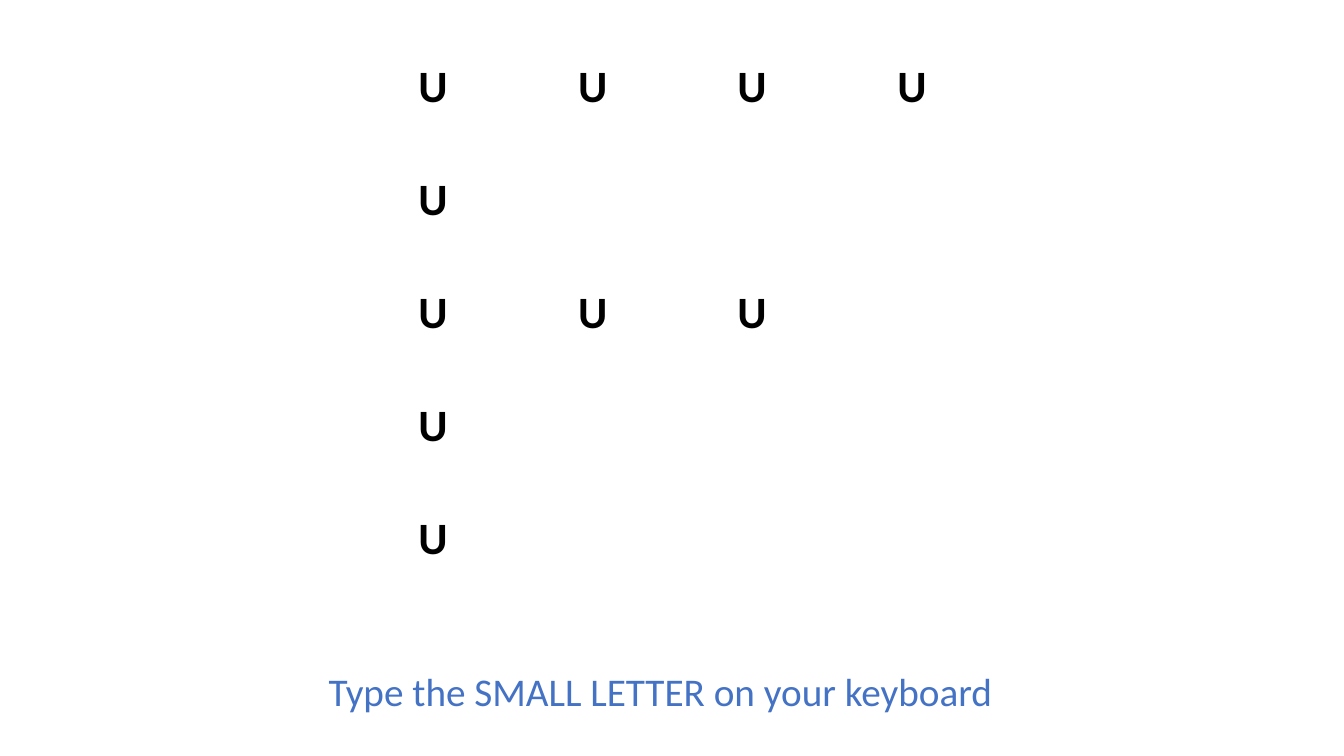
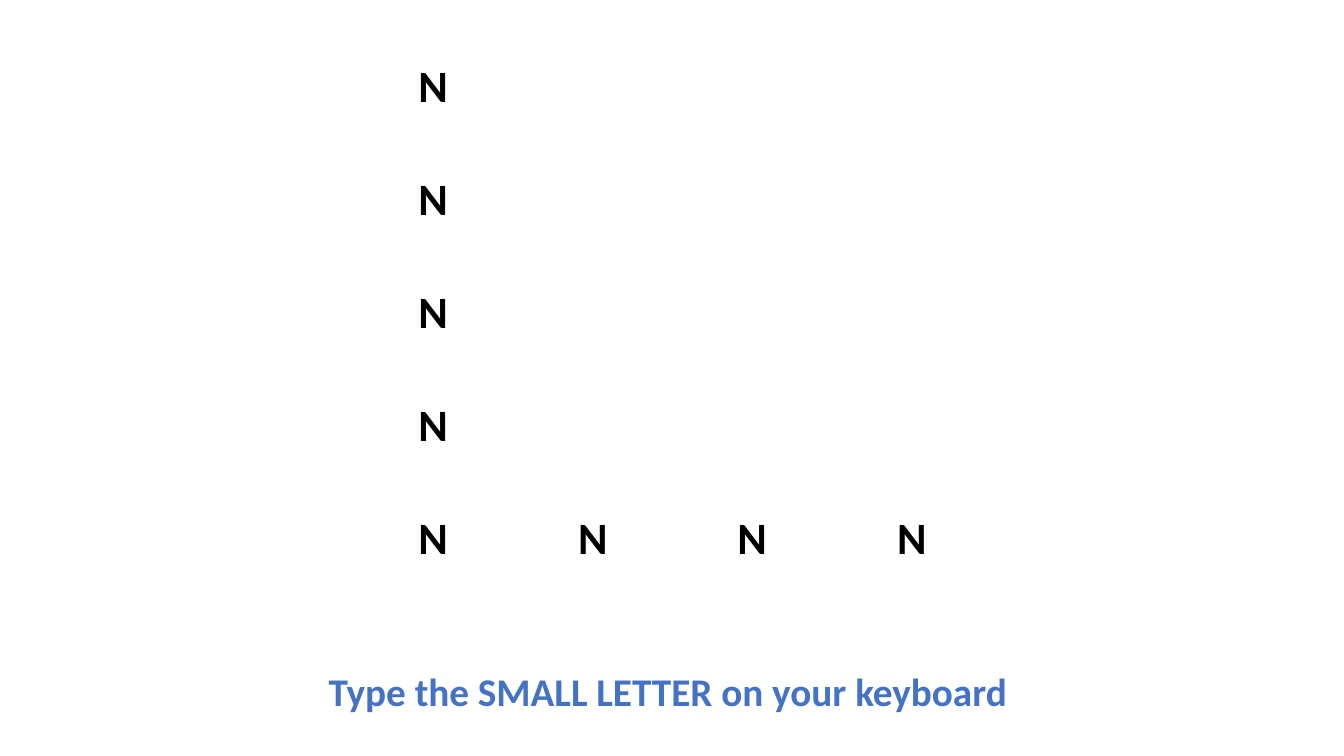
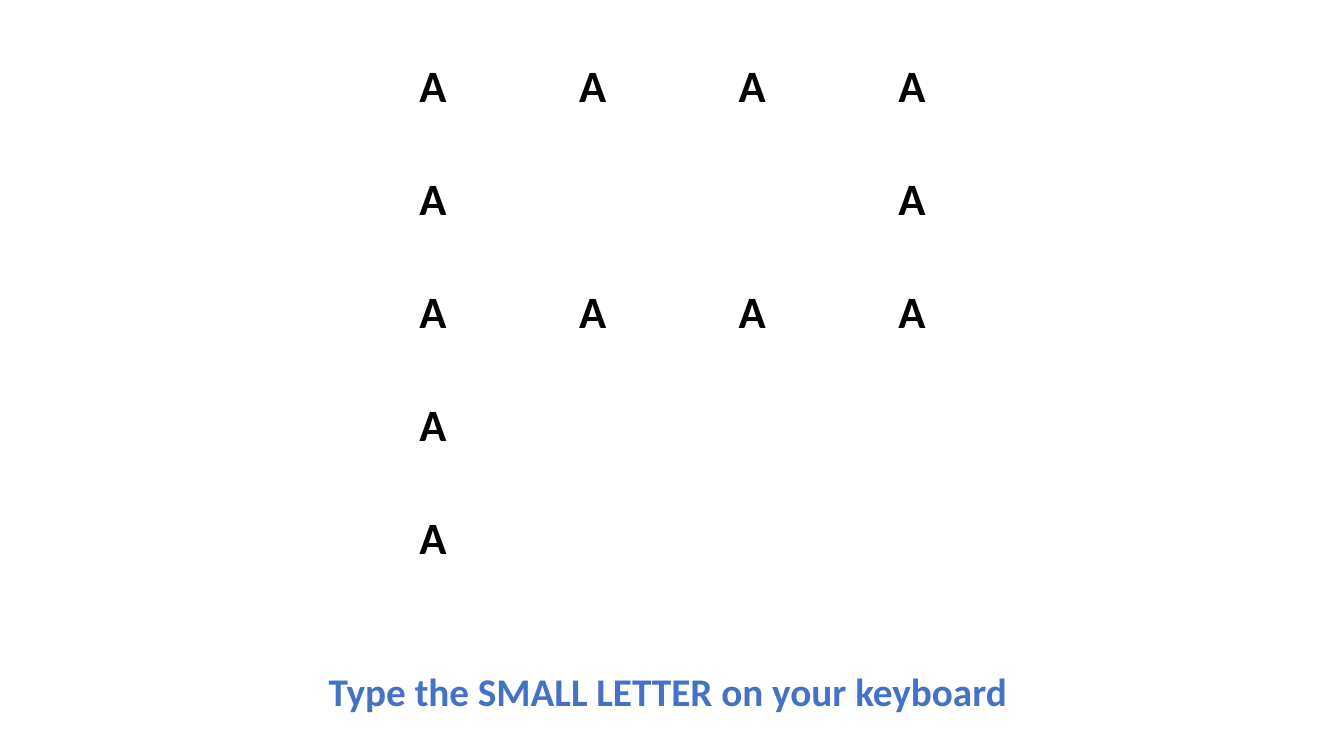
import pptx
import pptx.dml.color
import pptx.enum.text
import pptx.util

Inches = pptx.util.Inches
COLORS = {"letter": "000000", "prompt": "4472C4", "background": "FFFFFF"}
FONT = "Calibri"
PROMPT = "Type the SMALL LETTER on your keyboard"
COLUMN_WIDTHS = (1.59, 1.58, 1.58, 1.59)
ROW_HEIGHT = 1.12


def write_text(text_frame, text, size, color, bold=False, align=None, line_spacing=None):
    paragraph = text_frame.paragraphs[0]
    paragraph.alignment = align
    paragraph.line_spacing = line_spacing
    run = paragraph.add_run()
    run.text = text
    run.font.name = FONT
    run.font.size = pptx.util.Pt(size)
    run.font.bold = bold
    run.font.color.rgb = pptx.dml.color.RGBColor.from_string(COLORS[color])


class LetterDeck:
    def __init__(self):
        self.presentation = pptx.Presentation()
        self.presentation.slide_width = Inches(13.33)
        self.presentation.slide_height = Inches(7.5)
        self.slide = None

    def add_slide(self):
        self.slide = self.presentation.slides.add_slide(self.presentation.slide_layouts[6])
        fill = self.slide.background.fill
        fill.solid()
        fill.fore_color.rgb = pptx.dml.color.RGBColor.from_string(COLORS["background"])

    def add_letter_grid(self, letter, pattern):
        """Put the letter in every cell marked # in the pattern."""
        table = self.slide.shapes.add_table(
            len(pattern), len(COLUMN_WIDTHS), Inches(3.5), Inches(0.56),
            Inches(sum(COLUMN_WIDTHS)), Inches(ROW_HEIGHT * len(pattern))).table
        table.first_row = False
        table.horz_banding = False
        for column, width in zip(table.columns, COLUMN_WIDTHS):
            column.width = Inches(width)
        for row_index, marks in enumerate(pattern):
            table.rows[row_index].height = Inches(ROW_HEIGHT)
            for column_index, mark in enumerate(marks):
                cell = table.cell(row_index, column_index)
                cell.fill.background()
                cell.margin_left = cell.margin_right = Inches(0.07)
                cell.margin_top = cell.margin_bottom = 0
                if mark == "#":
                    write_text(cell.text_frame, letter, size=32, color="letter", bold=True,
                               align=pptx.enum.text.PP_ALIGN.CENTER, line_spacing=1.07)

    def add_prompt(self, bold):
        box = self.slide.shapes.add_textbox(
            Inches(3.16), Inches(6.57), Inches(7.01), Inches(0.57))
        box.text_frame.word_wrap = False
        box.text_frame.auto_size = pptx.enum.text.MSO_AUTO_SIZE.SHAPE_TO_FIT_TEXT
        write_text(box.text_frame, PROMPT, size=28, color="prompt", bold=bold)


# Each slide: repeated letter, the larger letter it forms, bold prompt
SLIDES = [
    ("U", ["####", "#...", "###.", "#...", "#..."], False),
    ("N", ["#...", "#...", "#...", "#...", "####"], True),
    ("A", ["####", "#..#", "####", "#...", "#..."], True),
]

deck = LetterDeck()
for letter, pattern, bold_prompt in SLIDES:
    deck.add_slide()
    deck.add_letter_grid(letter, pattern)
    deck.add_prompt(bold_prompt)

deck.presentation.save("out.pptx")
